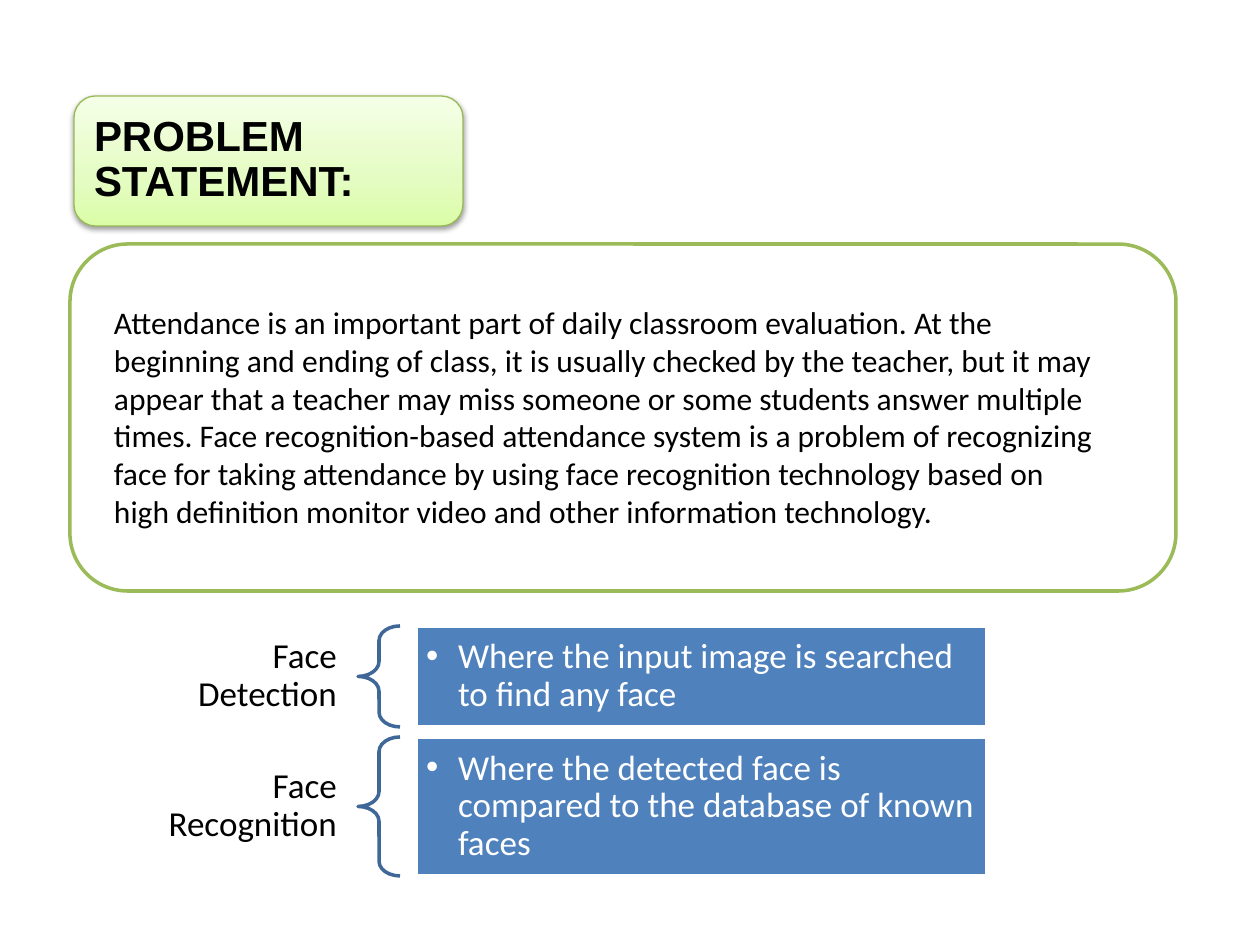
from dataclasses import dataclass

from lxml.etree import SubElement
from pptx import Presentation
from pptx.dml.color import RGBColor
from pptx.enum.shapes import MSO_SHAPE
from pptx.enum.text import MSO_ANCHOR, MSO_AUTO_SIZE, PP_ALIGN
from pptx.oxml import parse_xml
from pptx.oxml.ns import nsdecls, qn
from pptx.util import Emu, Pt

EMU_PER_PX = 914400 / 126
BLACK = RGBColor(0x00, 0x00, 0x00)
WHITE = RGBColor(0xFF, 0xFF, 0xFF)
BLUE = RGBColor(0x4F, 0x81, 0xBD)
DARK_BLUE = RGBColor(0x3F, 0x67, 0x97)
GREEN = RGBColor(0x9B, 0xBB, 0x59)
TITLE_BORDER = RGBColor(0x98, 0xB9, 0x55)
TITLE_GRADIENT = (
    (0, RGBColor(0xDA, 0xFD, 0xA7)),
    (35, RGBColor(0xE4, 0xFC, 0xC2)),
    (100, RGBColor(0xF5, 0xFF, 0xE7)),
)

STATEMENT = (
    "Attendance is an important part of daily classroom evaluation. At the beginning "
    "and ending of class, it is usually checked by the teacher, but it may appear that "
    "a teacher may miss someone or some students answer multiple times. Face "
    "recognition-based attendance system is a problem of recognizing face for taking "
    "attendance by using face recognition technology based on high definition monitor "
    "video and other information technology."
)


@dataclass(frozen=True)
class Box:
    left: int
    top: int
    width: int
    height: int


@dataclass(frozen=True)
class Step:
    label: str
    description: str
    height: int


STEPS = (
    Step("Face Detection", "Where the input image is searched to find any face", 101),
    Step("Face Recognition",
         "Where the detected face is compared to the database of known faces", 139),
)
STEPS_TOP = 626
STEP_GAP = 10
LABEL_HEIGHT = 92


def px(length: float) -> Emu:
    """Turn pixels into EMU."""
    return Emu(round(length * EMU_PER_PX))


def place(shape, box: Box) -> None:
    """Move and size a shape."""
    shape.left, shape.top = px(box.left), px(box.top)
    shape.width, shape.height = px(box.width), px(box.height)


def write(shape, text: str, *, size: int, color: RGBColor = BLACK, font: str = "Calibri",
          bold: bool = False, align=PP_ALIGN.LEFT, anchor=MSO_ANCHOR.MIDDLE,
          inset: tuple[int, int] = (13, 13), spacing: float = 0.9,
          bullet: str | None = None) -> None:
    """Put one formatted paragraph into a shape."""
    frame = shape.text_frame
    frame.word_wrap = True
    frame.auto_size = MSO_AUTO_SIZE.NONE
    frame.vertical_anchor = anchor
    frame.margin_left = frame.margin_right = px(inset[0])
    frame.margin_top = frame.margin_bottom = px(inset[1])
    para = frame.paragraphs[0]
    para.alignment = align
    para.line_spacing = spacing
    para.space_before = Pt(0)
    span = para.add_run()
    span.text = text
    span.font.name = font
    span.font.size = Pt(size)
    span.font.bold = bold
    span.font.color.rgb = color
    indent = px(32) if bullet else 0
    properties = para._p.get_or_add_pPr()
    properties.set("marL", str(indent))
    properties.set("indent", str(-indent))
    if bullet:
        SubElement(properties, qn("a:buFont")).set("typeface", "Arial")
        SubElement(properties, qn("a:buChar")).set("char", bullet)
    else:
        SubElement(properties, qn("a:buNone"))


def draw(slide, kind: MSO_SHAPE, box: Box, *, line: RGBColor, width: float = 2,
         fill: RGBColor | None = None):
    """Add an outlined preset shape without a shadow."""
    shape = slide.shapes.add_shape(kind, *map(px, (box.left, box.top, box.width, box.height)))
    shape.shadow.inherit = False
    if fill is None:
        shape.fill.background()
    else:
        shape.fill.solid()
        shape.fill.fore_color.rgb = fill
    shape.line.color.rgb = line
    shape.line.width = Pt(width)
    return shape


def add_glow(shape) -> None:
    """Give the title panel its gradient and soft shadow."""
    properties = shape.element.spPr
    stops = "".join(
        f'<a:gs pos="{position * 1000}"><a:srgbClr val="{color}"/></a:gs>'
        for position, color in TITLE_GRADIENT
    )
    properties.replace(properties.find(qn("a:noFill")), parse_xml(
        f'<a:gradFill {nsdecls("a")} rotWithShape="1"><a:gsLst>{stops}</a:gsLst>'
        '<a:lin ang="16200000" scaled="0"/></a:gradFill>'))
    properties.find(qn("a:effectLst")).append(parse_xml(
        f'<a:outerShdw {nsdecls("a")} blurRad="{Pt(3.1)}" dist="{Pt(1.6)}" dir="5400000" '
        'rotWithShape="0"><a:srgbClr val="000000"><a:alpha val="38000"/></a:srgbClr>'
        '</a:outerShdw>'))


def draw_step(slide, step: Step, top: int) -> None:
    """Draw a label, a brace and a bulleted description."""
    label_top = top + (step.height - LABEL_HEIGHT) // 2
    label = slide.shapes.add_textbox(px(147), px(label_top), px(210), px(LABEL_HEIGHT))
    write(label, step.label, size=20, align=PP_ALIGN.RIGHT, inset=(20, 8))
    brace = draw(slide, MSO_SHAPE.LEFT_BRACE, Box(358, top, 42, step.height), line=DARK_BLUE)
    brace.adjustments[0] = 0.35
    card = draw(slide, MSO_SHAPE.RECTANGLE, Box(416, top, 571, step.height),
                line=WHITE, fill=BLUE)
    write(card, step.description, size=20, color=WHITE, inset=(10, 10), bullet="•")


def main() -> None:
    """Build and save the problem statement slide."""
    deck = Presentation()
    deck.slide_width, deck.slide_height = px(1260), px(945)
    page = deck.slides.add_slide(deck.slide_layouts[1])
    title, body = page.shapes.title, page.placeholders[1]

    title_panel = draw(page, MSO_SHAPE.ROUNDED_RECTANGLE, Box(74, 96, 389, 130),
                       line=TITLE_BORDER, width=0.75)
    add_glow(title_panel)
    place(title, Box(81, 102, 377, 117))
    write(title, "PROBLEM STATEMENT:", size=24, font="Arial", bold=True)
    title_panel.element.addnext(title.element)

    body_panel = draw(page, MSO_SHAPE.ROUNDED_RECTANGLE, Box(70, 244, 1106, 347),
                      line=GREEN, fill=WHITE)
    place(body, Box(101, 297, 1012, 242))
    write(body, STATEMENT, size=18, anchor=MSO_ANCHOR.TOP, inset=(13, 6), spacing=1.0)
    body_panel.element.addnext(body.element)

    top = STEPS_TOP
    for step in STEPS:
        draw_step(page, step, top)
        top += step.height + STEP_GAP
    deck.save("out.pptx")


if __name__ == "__main__":
    main()
